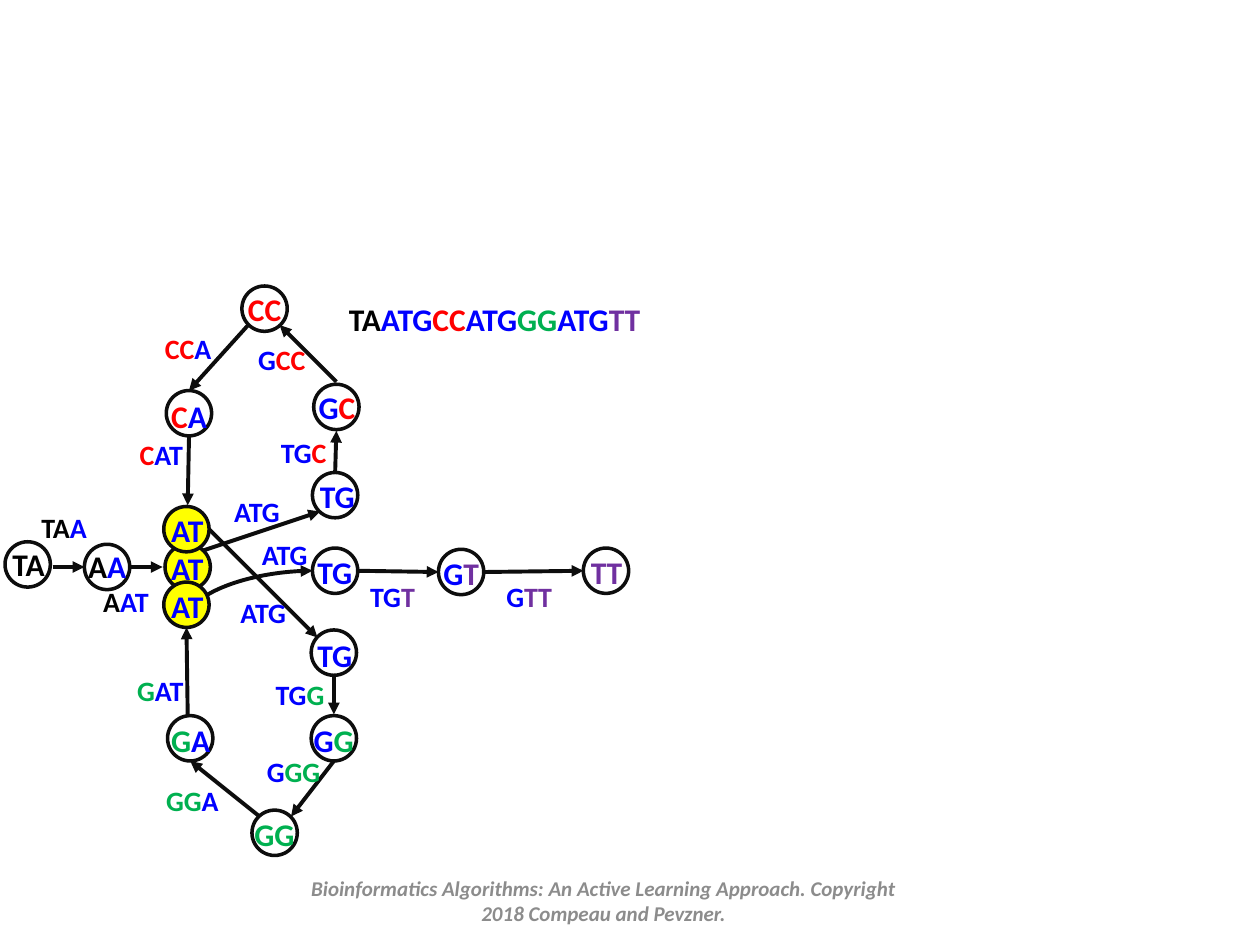
import itertools

import pptx
import pptx.dml.color
import pptx.enum.shapes
import pptx.enum.text
import pptx.oxml
import pptx.oxml.ns
import pptx.util
from pptx.util import Inches

RGBColor = pptx.dml.color.RGBColor
INK = RGBColor(0x0D, 0x0D, 0x0D)
YELLOW = RGBColor(0xFF, 0xFF, 0x00)
GRAY = RGBColor(0x8C, 0x8C, 0x8C)
LETTER_COLORS = {
    "K": RGBColor(0x00, 0x00, 0x00),
    "B": RGBColor(0x00, 0x00, 0xFF),
    "R": RGBColor(0xFF, 0x00, 0x00),
    "G": RGBColor(0x00, 0xB0, 0x50),
    "P": RGBColor(0x70, 0x30, 0xA0),
    "-": GRAY,
}

DIAMETER = 0.36
NODE_HEIGHT = 0.4
LABEL_HEIGHT = 0.37

GENOME = ("TAATGCCATGGGATGTT", "KKBBBRRBBBGGBBBPP")
FOOTER = ("Bioinformatics Algorithms: An Active Learning Approach. "
          "Copyright 2018 Compeau and Pevzner.")

# letters, colours, circle left and top, text left, top and width
NODES = [
    ("TA", "KK", (0.04, 4.3), (0, 4.28, 0.48)),
    ("AA", "KB", (0.67, 4.32), (0.6, 4.29, 0.51)),
    ("AT", "BB", (1.31, 4.32), (1.26, 4.31, 0.48)),
    ("AT", "BB", (1.3, 4.62), (1.26, 4.61, 0.48)),
    ("AT", "BB", (1.3, 4.02), (1.26, 4.01, 0.48)),
    ("TG", "BB", (2.48, 3.75), (2.44, 3.74, 0.49)),
    ("GC", "BR", (2.49, 3.05), (2.43, 3.03, 0.5)),
    ("CC", "RR", (1.92, 2.27), (1.87, 2.25, 0.47)),
    ("CA", "RB", (1.32, 3.1), (1.26, 3.1, 0.49)),
    ("TG", "BB", (2.47, 5), (2.42, 5, 0.49)),
    ("GG", "BG", (2.47, 5.68), (2.39, 5.67, 0.52)),
    ("GG", "GG", (2, 6.43), (1.92, 6.42, 0.52)),
    ("GA", "GB", (1.33, 5.68), (1.26, 5.67, 0.52)),
    ("TG", "BB", (2.48, 4.35), (2.42, 4.34, 0.49)),
    ("GT", "BP", (3.48, 4.36), (3.42, 4.35, 0.49)),
    ("TT", "PP", (4.63, 4.35), (4.59, 4.34, 0.45)),
]

EDGE_LABELS = [
    ("TAA", "KKB", 0.23, 4, 0.59),
    ("AAT", "KBB", 0.72, 4.59, 0.59),
    ("ATG", "BBB", 1.76, 3.88, 0.59),
    ("TGC", "BBR", 2.13, 3.41, 0.58),
    ("GCC", "BRR", 1.95, 2.67, 0.58),
    ("CCA", "RRB", 1.21, 2.58, 0.58),
    ("CAT", "RBB", 1.01, 3.42, 0.57),
    ("ATG", "BBB", 1.81, 4.68, 0.59),
    ("TGG", "BBG", 2.09, 5.33, 0.6),
    ("GGG", "BGG", 2.02, 5.94, 0.63),
    ("GGA", "GGB", 1.22, 6.17, 0.63),
    ("GAT", "GBB", 0.99, 5.3, 0.59),
    ("ATG", "BBB", 1.98, 4.22, 0.59),
    ("TGT", "BBP", 2.84, 4.55, 0.57),
    ("GTT", "BPP", 3.92, 4.55, 0.57),
]

ARROWS = [
    (0.42, 4.5, 0.67, 4.5), (1.04, 4.5, 1.29, 4.5),
    (1.61, 4.37, 2.54, 4.06), (2.66, 3.75, 2.67, 3.42),
    (2.67, 3.03, 2.22, 2.58), (1.97, 2.58, 1.5, 3.1),
    (1.5, 3.47, 1.49, 4.01), (1.66, 4.2, 2.52, 5.06),
    (2.65, 5.37, 2.65, 5.67), (2.65, 6.04, 2.31, 6.48),
    (2.06, 6.48, 1.51, 6.04), (1.49, 5.68, 1.48, 4.98),
    (2.84, 4.53, 3.48, 4.54), (3.84, 4.54, 4.63, 4.53),
]
CURVED_ARROW = (1.48, 4.93, 2.48, 4.53)


def add_text(shapes, text, colors, left, top, width, height, size=18,
             italic=False, wrap=False, centered=False):
    box = shapes.add_textbox(*map(Inches, (left, top, width, height)))
    frame = box.text_frame
    frame.word_wrap = wrap
    para = frame.paragraphs[0]
    if centered:
        frame.vertical_anchor = pptx.enum.text.MSO_ANCHOR.MIDDLE
        para.alignment = pptx.enum.text.PP_ALIGN.CENTER
    else:
        frame.auto_size = pptx.enum.text.MSO_AUTO_SIZE.SHAPE_TO_FIT_TEXT
    for color, pairs in itertools.groupby(zip(text, colors), key=lambda pair: pair[1]):
        span = para.add_run()
        span.text = "".join(letter for letter, _ in pairs)
        span.font.name = "Calibri"
        span.font.size = pptx.util.Pt(size)
        span.font.bold = True
        span.font.italic = italic
        span.font.color.rgb = LETTER_COLORS[color]


def add_arrow(page, ends, kind=pptx.enum.shapes.MSO_CONNECTOR.STRAIGHT):
    arrow = page.shapes.add_connector(kind, *map(Inches, ends))
    arrow.line.color.rgb = INK
    arrow.line.width = pptx.util.Pt(2.25)
    head = pptx.oxml.parse_xml(
        f'<a:tailEnd {pptx.oxml.ns.nsdecls("a")} type="triangle"/>')
    arrow.line._get_or_add_ln().append(head)
    arrow._element.spPr.append(
        pptx.oxml.parse_xml(f'<a:effectLst {pptx.oxml.ns.nsdecls("a")}/>'))
    return arrow


def add_curved_arrow(page, left, bottom, right, top):
    center_x, center_y = (left + right) / 2, (top + bottom) / 2
    half_width, half_height = (bottom - top) / 2, (right - left) / 2
    ends = (center_x + half_width, center_y + half_height,
            center_x - half_width, center_y - half_height)
    arrow = add_arrow(page, ends, kind=pptx.enum.shapes.MSO_CONNECTOR.CURVE)
    properties = arrow._element.spPr
    properties.find(pptx.oxml.ns.qn("a:xfrm")).set("rot", "5400000")
    properties.find(pptx.oxml.ns.qn("a:prstGeom")).set("prst", "curvedConnector2")


def add_node(page, text, colors, circle_at, text_at):
    node = page.shapes.add_group_shape()
    circle = node.shapes.add_shape(
        pptx.enum.shapes.MSO_SHAPE.OVAL,
        *map(Inches, (*circle_at, DIAMETER, DIAMETER)))
    circle.shadow.inherit = False
    circle.line.color.rgb = INK
    circle.line.width = pptx.util.Pt(2)
    if text == "AT":
        circle.fill.solid()
        circle.fill.fore_color.rgb = YELLOW
    else:
        circle.fill.background()
    add_text(node.shapes, text, colors, *text_at, NODE_HEIGHT)


def main():
    deck = pptx.Presentation()
    deck.slide_width, deck.slide_height = Inches(10), Inches(7.5)
    page = deck.slides.add_slide(deck.slide_layouts[6])
    for ends in ARROWS:
        add_arrow(page, ends)
    add_curved_arrow(page, *CURVED_ARROW)
    for node in NODES:
        add_node(page, *node)
    for label in EDGE_LABELS:
        add_text(page.shapes, *label, LABEL_HEIGHT, size=16)
    add_text(page.shapes, *GENOME, 2.67, 2.33, 2.63, NODE_HEIGHT)
    add_text(page.shapes, FOOTER, "-" * len(FOOTER), 2.25, 6.95, 5.08, 0.4,
             size=12, italic=True, wrap=True, centered=True)
    deck.save("out.pptx")


if __name__ == "__main__":
    main()
